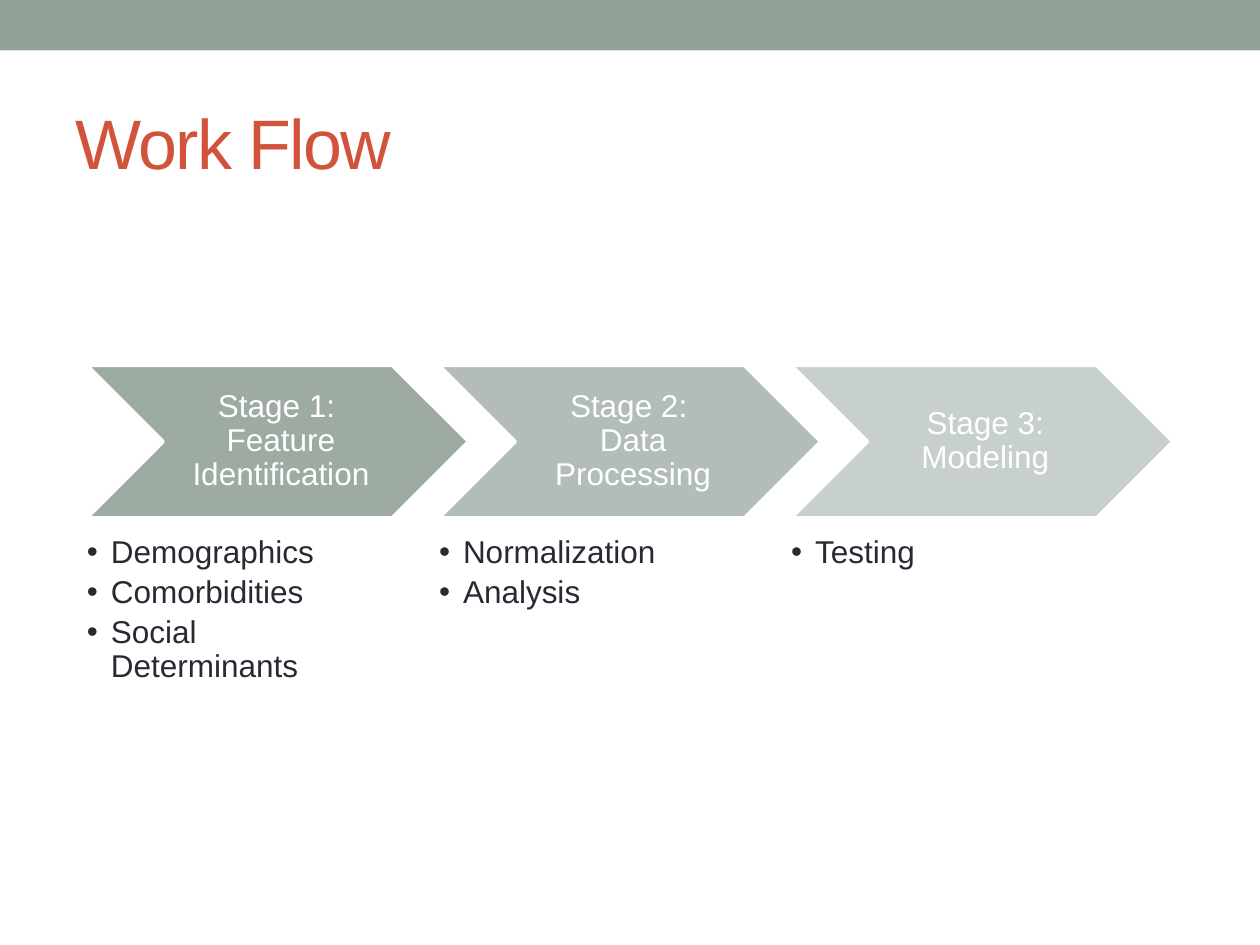
import pptx
import pptx.dml.color
import pptx.enum.shapes
import pptx.enum.text
import pptx.oxml
import pptx.oxml.ns
import pptx.util

In, Pt = pptx.util.Inches, pptx.util.Pt
SHAPE = pptx.enum.shapes.MSO_SHAPE
ANCHOR = pptx.enum.text.MSO_ANCHOR
ALIGN = pptx.enum.text.PP_ALIGN

COLORS = {"sage": "93A299", "title": "D2533C", "text": "292934", "white": "FFFFFF"}
FONT = "Arial"
STAGES = [
    ("Stage 1: \vFeature Identification", 90,
     ["Demographics", "Comorbidities", "Social Determinants"]),
    ("Stage 2: \vData Processing", 70, ["Normalization", "Analysis"]),
    ("Stage 3: Modeling", 50, ["Testing"]),
]


def rgb(name):
    return pptx.dml.color.RGBColor.from_string(COLORS[name])


def xml(tag, **attrs):
    el = pptx.oxml.parse_xml(f"<a:{tag} {pptx.oxml.ns.nsdecls('a')}/>")
    for key, value in attrs.items():
        el.set(key, str(value))
    return el


def set_margins(tf, left, others):
    tf.margin_left = In(left)
    tf.margin_top = tf.margin_right = tf.margin_bottom = In(others)


def style_runs(p, size, color):
    for r in p.runs:
        r.font.name = FONT
        r.font.size = Pt(size)
        r.font.color.rgb = rgb(color)


def add_bar(s, box):
    sp = s.shapes.add_shape(SHAPE.RECTANGLE, *map(In, box))
    sp.shadow.inherit = False
    sp.fill.solid()
    sp.fill.fore_color.rgb = rgb("sage")
    sp.line.fill.background()


def set_title(s, box, text):
    sp = s.shapes.title
    sp.left, sp.top, sp.width, sp.height = map(In, box)
    tf = sp.text_frame
    tf.text = text
    tf.vertical_anchor = ANCHOR.MIDDLE
    p = tf.paragraphs[0]
    p.alignment = ALIGN.LEFT
    style_runs(p, 40, "title")
    p.runs[0].font._element.set("spc", "-100")


def add_chevron(s, box, text, opacity):
    sp = s.shapes.add_shape(SHAPE.CHEVRON, *map(In, box))
    sp.shadow.inherit = False
    sp.fill.solid()
    sp.fill.fore_color.rgb = rgb("sage")
    color = sp._element.spPr.find(".//" + pptx.oxml.ns.qn("a:srgbClr"))
    color.append(xml("alpha", val=opacity * 1000))
    sp.line.color.rgb = rgb("white")
    sp.line.width = Pt(2.08)
    tf = sp.text_frame
    tf.word_wrap = True
    tf.vertical_anchor = ANCHOR.MIDDLE
    set_margins(tf, 0.08, 0.03)
    p = tf.paragraphs[0]
    p.text = text
    p.alignment = ALIGN.CENTER
    p.line_spacing = 0.9
    style_runs(p, 18, "white")


def add_bullets(s, box, items):
    tf = s.shapes.add_textbox(*map(In, box)).text_frame
    tf.word_wrap = True
    set_margins(tf, 0, 0)
    tf.text = "\n".join(items)
    for p in tf.paragraphs:
        p.line_spacing = 0.9
        p.space_after = Pt(3.2)
        style_runs(p, 18, "text")
        pPr = p._p.get_or_add_pPr()
        pPr.set("marL", str(In(0.19)))
        pPr.set("indent", str(-In(0.19)))
        pPr.append(xml("buFont", typeface=FONT))
        pPr.append(xml("buChar", char="•"))


def add_workflow(s, box, stages):
    """Spread overlapping chevrons evenly over the box, each above its list."""
    left, top, width, height = box
    chevron_w, chevron_h, list_top = 3.03, 1.21, 1.36
    step = (width - chevron_w) / (len(stages) - 1)
    for i, (label, opacity, items) in enumerate(stages):
        x = left + i * step
        add_chevron(s, (x, top, chevron_w, chevron_h), label, opacity)
        # Lists end where the chevron's point begins.
        add_bullets(s, (x, top + list_top, chevron_w - chevron_h / 2,
                        height - list_top), items)


def main():
    prs = pptx.Presentation()
    prs.slide_width, prs.slide_height = In(10), In(7.5)
    s = prs.slides.add_slide(prs.slide_layouts[5])
    add_bar(s, (0, 0, 10, 0.4))
    set_title(s, (0.5, 0.58, 9, 1.08), "Work Flow")
    add_workflow(s, (0.69, 2.9, 8.62, 2.64), STAGES)
    prs.save("out.pptx")


if __name__ == "__main__":
    main()
